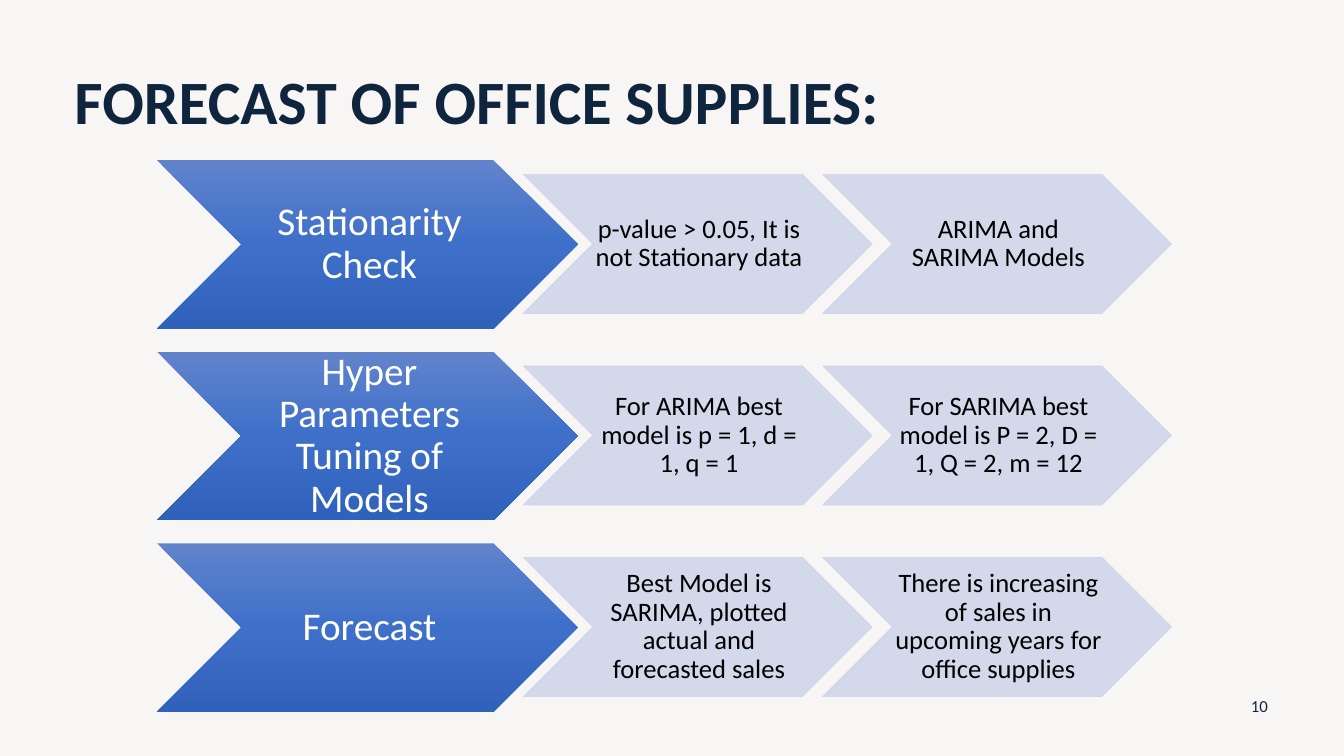
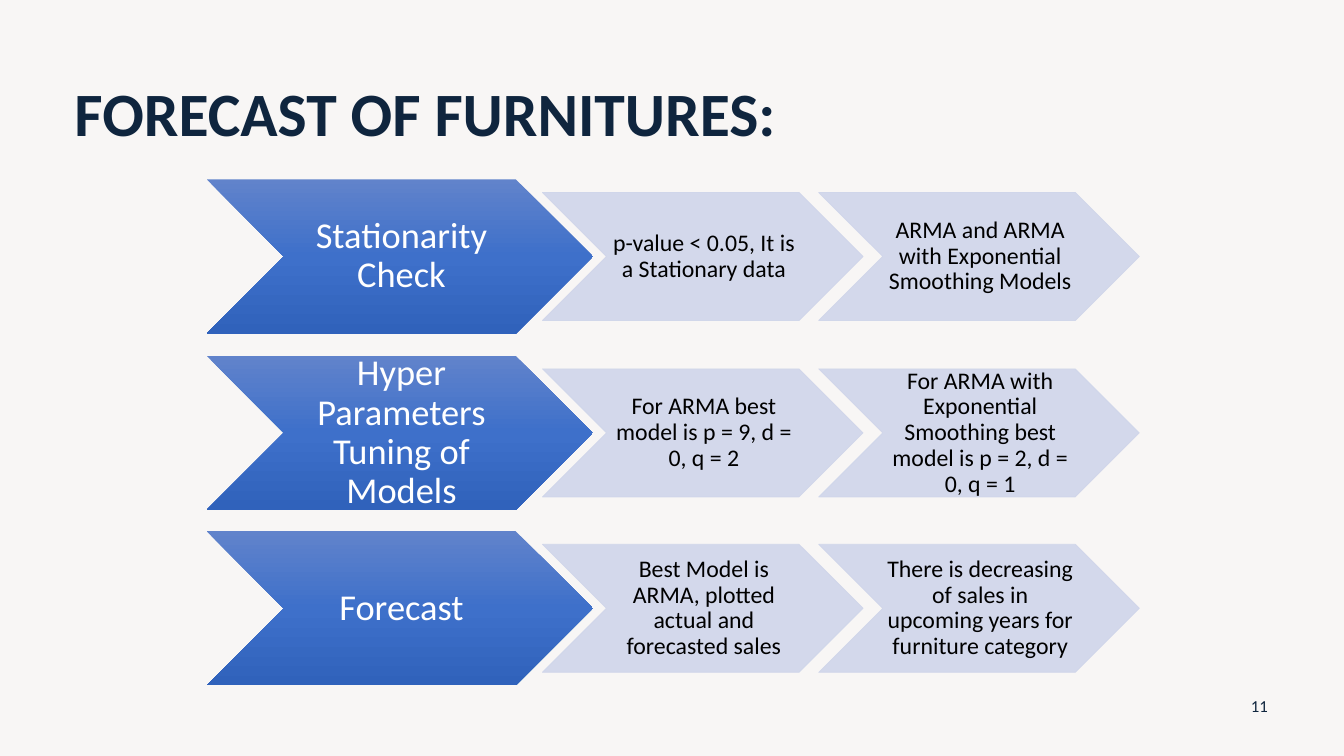
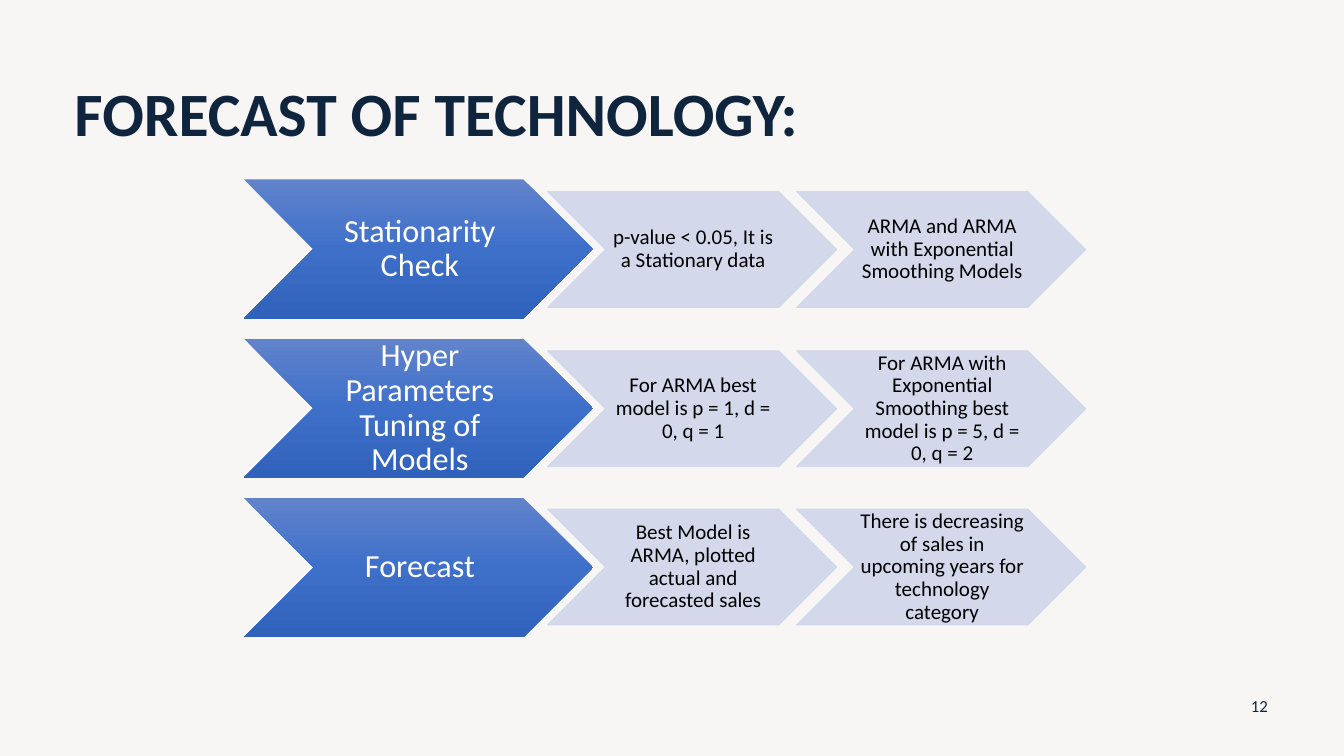
import copy

import pptx
import pptx.dml.color
import pptx.enum.shapes
import pptx.enum.text
import pptx.oxml
import pptx.oxml.ns
import pptx.util

PX = 9144
FONT = "Calibri"
COLORS = {
    "background": "F8F6F5",
    "navy": "0F253E",
    "white": "FFFFFF",
    "black": "000000",
    "pale": "CFD5EA",
}
GRADIENT = [(0, "6183CB"), (0.5, "3E70CA"), (1, "3062BB")]
PALE_ALPHA = 90000

CHEVRON_ASPECT = 0.4
STEP_SCALE = 0.83
FIRST_STEP_SHIFT = 0.87
NEXT_STEP_SHIFT = 0.86
ROW_PITCH = 1.14

STAGES = ["Stationarity Check", "Hyper Parameters Tuning of Models", "Forecast"]
SLIDES = [
    {
        "title": "FORECAST OF OFFICE SUPPLIES:", "title_top": 43, "number": 10,
        "left": 156, "top": 159, "width": 417, "stage_size": 28, "step_size": 19,
        "steps": [
            ["p-value > 0.05, It is not Stationary data",
             "ARIMA and SARIMA Models"],
            ["For ARIMA best model is p = 1, d = 1, q = 1",
             "For SARIMA best model is P = 2, D = 1, Q = 2, m = 12"],
            ["Best Model is SARIMA, plotted actual and forecasted sales",
             "There is increasing of sales in upcoming years for office supplies"],
        ],
    },
    {
        "title": "FORECAST OF FURNITURES:", "title_top": 55, "number": 11,
        "left": 205, "top": 178, "width": 383, "stage_size": 26, "step_size": 17,
        "steps": [
            ["p-value < 0.05, It is a Stationary data",
             "ARMA and ARMA with Exponential Smoothing Models"],
            ["For ARMA best model is p = 9, d = 0, q = 2",
             "For ARMA with Exponential Smoothing best model is p = 2, d = 0, q = 1"],
            ["Best Model is ARMA, plotted actual and forecasted sales",
             "There is decreasing of sales in upcoming years for furniture category"],
        ],
    },
    {
        "title": "FORECAST OF TECHNOLOGY:", "title_top": 55, "number": 12,
        "left": 242, "top": 178, "width": 346, "stage_size": 23, "step_size": 15,
        "steps": [
            ["p-value < 0.05, It is a Stationary data",
             "ARMA and ARMA with Exponential Smoothing Models"],
            ["For ARMA best model is p = 1, d = 0, q = 1",
             "For ARMA with Exponential Smoothing best model is p = 5, d = 0, q = 2"],
            ["Best Model is ARMA, plotted actual and forecasted sales",
             "There is decreasing of sales in upcoming years for technology category"],
        ],
    },
]


def rgb(value):
    return pptx.dml.color.RGBColor.from_string(value)


def emu(*lengths):
    return [round(length) * PX for length in lengths]


def apply(target, values):
    for name, value in values.items():
        setattr(target, name, value)


def write(sp, text, size, color, bold=False, centred=True, spacing=0.9):
    align = pptx.enum.text.PP_ALIGN
    tf = sp.text_frame
    apply(tf, {
        "word_wrap": True,
        "vertical_anchor": pptx.enum.text.MSO_ANCHOR.MIDDLE,
    })
    p = tf.paragraphs[0]
    apply(p, {
        "alignment": align.CENTER if centred else align.LEFT,
        "line_spacing": spacing,
    })
    r = p.add_run()
    r.text = text
    apply(r.font, {"name": FONT, "size": pptx.util.Pt(size), "bold": bold})
    r.font.color.rgb = rgb(COLORS[color])


def add_text(s, box, text, size, **style):
    sp = s.shapes.add_textbox(*emu(*box))
    write(sp, text, size, "navy", **style)


def add_chevron(s, box, text, size, color):
    shape_type = pptx.enum.shapes.MSO_SHAPE.CHEVRON
    sp = s.shapes.add_shape(shape_type, *emu(*box))
    sp.shadow.inherit = False
    write(sp, text, size, color)
    side = pptx.util.Pt(size / 10)
    edge = pptx.util.Pt(size / 20)
    apply(sp.text_frame, {
        "margin_left": side, "margin_right": 0,
        "margin_top": edge, "margin_bottom": edge,
    })
    return sp


def paint_gradient(sp):
    sp.fill.gradient()
    sp.fill.gradient_angle = 270
    gs_list = sp.fill._xPr.find(".//" + pptx.oxml.ns.qn("a:gsLst"))
    gs_list.insert(1, copy.deepcopy(gs_list[0]))
    for stop, (position, value) in zip(sp.fill.gradient_stops, GRADIENT):
        stop.position = position
        stop.color.rgb = rgb(value)
    sp.line.fill.background()


def paint_pale(sp):
    sp.line.width = pptx.util.Pt(0.5)
    for fill in (sp.fill, sp.line.fill):
        fill.solid()
        fill.fore_color.rgb = rgb(COLORS["pale"])
    for color in sp._element.spPr.iter(pptx.oxml.ns.qn("a:srgbClr")):
        alpha = pptx.oxml.parse_xml(
            f'<a:alpha {pptx.oxml.ns.nsdecls("a")} val="{PALE_ALPHA}"/>')
        color.append(alpha)


def add_row(s, top, stage, steps, data):
    left, width = data["left"], data["width"]
    height = width * CHEVRON_ASPECT
    box = (left, top, width, height)
    paint_gradient(add_chevron(s, box, stage, data["stage_size"], "white"))
    step_width, step_height = width * STEP_SCALE, height * STEP_SCALE
    step_left = left + width * FIRST_STEP_SHIFT
    step_top = top + (height - step_height) / 2
    for i, text in enumerate(steps):
        box = (step_left + i * step_width * NEXT_STEP_SHIFT, step_top,
               step_width, step_height)
        paint_pale(add_chevron(s, box, text, data["step_size"], "black"))


def add_slide(prs, data):
    s = prs.slides.add_slide(prs.slide_layouts[6])
    s.background.fill.solid()
    s.background.fill.fore_color.rgb = rgb(COLORS["background"])
    add_text(s, (64, data["title_top"], 1191, 122), data["title"], 44,
             bold=True, centred=False)
    add_text(s, (1224, 680, 50, 40), str(data["number"]), 12, spacing=1.0)
    pitch = data["width"] * CHEVRON_ASPECT * ROW_PITCH
    for i, (stage, steps) in enumerate(zip(STAGES, data["steps"])):
        add_row(s, data["top"] + i * pitch, stage, steps, data)


def main():
    prs = pptx.Presentation()
    prs.slide_width, prs.slide_height = emu(1333, 750)
    for data in SLIDES:
        add_slide(prs, data)
    prs.save("out.pptx")


if __name__ == "__main__":
    main()
